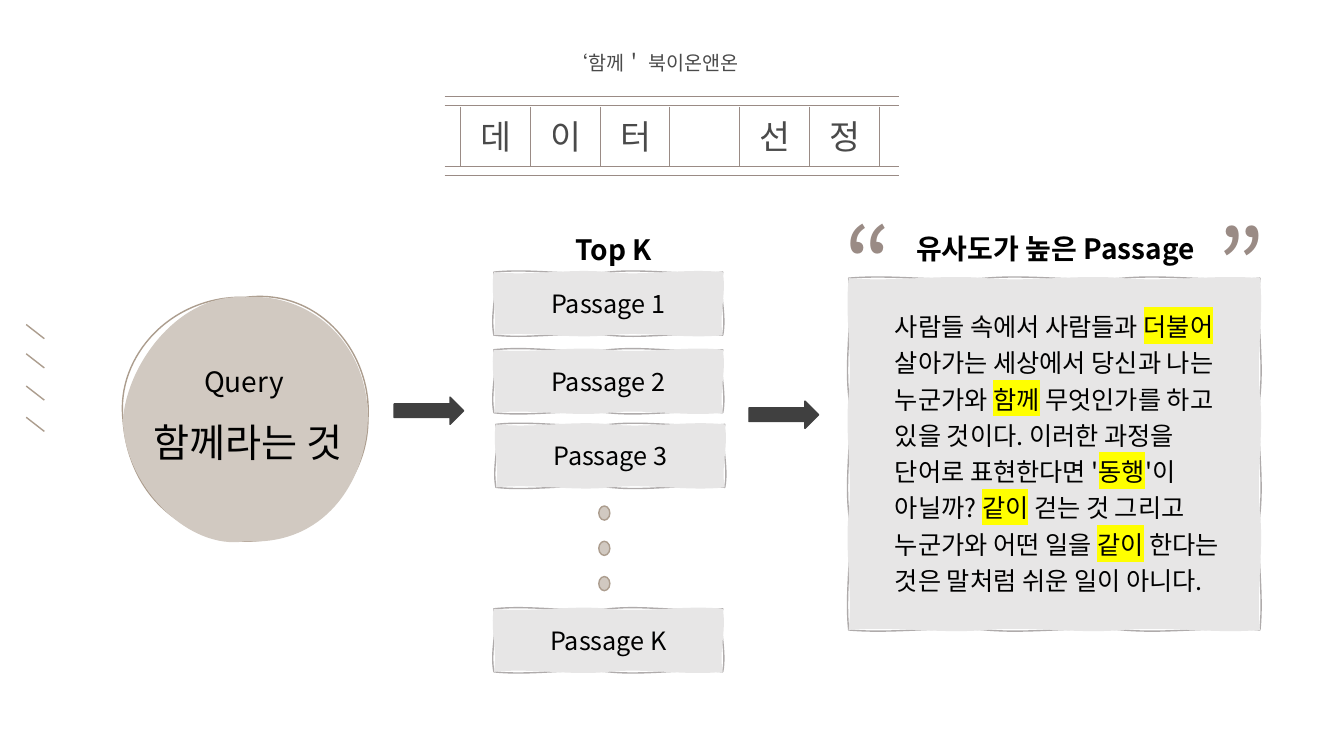
"""Build the slide that shows how passages are selected for a query."""
from lxml.etree import Element, SubElement
from pptx import Presentation
from pptx.dml.color import RGBColor
from pptx.enum.shapes import MSO_CONNECTOR, MSO_SHAPE
from pptx.enum.text import MSO_ANCHOR, MSO_AUTO_SIZE, PP_ALIGN
from pptx.oxml.ns import qn
from pptx.util import Inches, Pt

FONT = "Noto Sans CJK KR"
BLACK = RGBColor(0x00, 0x00, 0x00)
DARK = RGBColor(0x40, 0x40, 0x40)
PAPER = RGBColor(0xE7, 0xE6, 0xE6)
PAPER_EDGE = RGBColor(0xAF, 0xAB, 0xAB)
SAND = RGBColor(0xD1, 0xC9, 0xC1)
SAND_EDGE = RGBColor(0xAC, 0x9D, 0x8E)
TAUPE = RGBColor(0x9A, 0x8B, 0x85)
CELL = Inches(0.1)
COLS, ROWS = 133.33, 75

prs = Presentation()
prs.slide_width, prs.slide_height = int(COLS * CELL), int(ROWS * CELL)
s = prs.slides.add_slide(prs.slide_layouts[5])


def write(text, box=None, sp=None, size=18, color=BLACK, bold=False, alpha=None,
          align=PP_ALIGN.CENTER, spacing=1.0, anchor=MSO_ANCHOR.TOP):
    """Write text into a shape or a new box; parts between bars are highlighted."""
    if sp is None:
        sp = s.shapes.add_textbox(*(int(v * CELL) for v in box))
    tf = sp.text_frame
    tf.word_wrap, tf.auto_size = True, MSO_AUTO_SIZE.NONE
    tf.vertical_anchor = anchor
    p = tf.paragraphs[0]
    p.alignment, p.line_spacing = align, spacing
    for i, part in enumerate(text.split("|")):
        r = p.add_run()
        r.text = part
        r.font.size, r.font.bold = Pt(size), bold
        r.font.color.rgb = color
        rPr = r.font._element
        if alpha:
            SubElement(rPr.find(".//" + qn("a:srgbClr")), qn("a:alpha"), val=str(alpha * 1000))
        if i % 2:
            SubElement(SubElement(rPr, qn("a:highlight")), qn("a:srgbClr"), val="FFFF00")
        r.font.name = FONT
        SubElement(rPr, qn("a:ea"), typeface=FONT)


def sketch(outlines, left, top, width, height, fill, edge):
    """Draw an edge curve and a filled curve, with Bezier points in shares of the box."""
    for is_fill, outline in enumerate(outlines):
        pts = [((left + x * width) * CELL, (top + y * height) * CELL) for x, y in outline]
        builder = s.shapes.build_freeform(*pts[0])
        builder.add_line_segments(pts[1:], close=True)
        sp = builder.convert_to_shape()
        segments = list(sp._element.iter(qn("a:lnTo")))
        for k in range(0, len(segments), 3):
            curve = Element(qn("a:cubicBezTo"))
            segments[k].addprevious(curve)
            for segment in segments[k:k + 3]:
                curve.append(segment[0])
                segment.getparent().remove(segment)
        sp.shadow.inherit = False
        if is_fill:
            sp.fill.solid()
            sp.fill.fore_color.rgb = fill
            sp.line.fill.background()
        else:
            sp.fill.background()
            sp.line.color.rgb, sp.line.width = edge, Pt(1)
    return sp


title = s.shapes.title
title.left, title.top, title.width, title.height = (int(v * CELL) for v in (55.4, 4.5, 22.6, 3.4))
write("‘함께＇ 북이온앤온", sp=title, size=14, alpha=71, align=PP_ALIGN.JUSTIFY)

rail_left, rail_right, first_bar, pitch = 44.1, 89.2, 45.7, 6.92
lines = [(rail_left, y, rail_right, y, TAUPE, 0.75) for y in (9.6, 10.5, 16.5, 17.4)]
lines += [(first_bar + i * pitch, 10.6, first_bar + i * pitch, 16.5, TAUPE, 0.75) for i in range(7)]
lines += [(2.6, y, 4.4, y + 1.4, SAND_EDGE, 1) for y in (32.2, 35.1, 38.3, 41.4)]
for x1, y1, x2, y2, color, width in lines:
    ln = s.shapes.add_connector(MSO_CONNECTOR.STRAIGHT, *(int(v * CELL) for v in (x1, y1, x2, y2)))
    ln.line.color.rgb, ln.line.width = color, Pt(width)
    SubElement(ln._element.spPr, qn("a:effectLst"))

for i, letter in enumerate("데이터 선정"):
    if letter != " ":
        write(letter, (first_bar + 1 + i * pitch, 11, 5.4, 5), size=24, alpha=71, align=PP_ALIGN.LEFT)

round_outlines = [
    [(0, .5), (-.03, .24), (.2, -.01), (.5, 0), (.81, -.04), (1.02, .24), (1, .5),
     (1, .77), (.77, 1), (.5, 1), (.2, .98), (.02, .78), (0, .5)],
    [(0, .5), (.02, .26), (.24, -.02), (.5, 0), (.75, -.02), (1, .17), (1, .5),
     (.99, .76), (.82, 1.02), (.5, 1), (.26, 1.04), (0, .76), (0, .5)],
]
sketch(round_outlines, 12.2, 29.5, 24.3, 24.2, SAND, SAND_EDGE)

for left, top, width, height, across, down, label in [
        (84.2, 27.6, 40.8, 34.9, 3, 3, None),
        (49, 27, 22.7, 6.25, 2, 1, "Passage 1"),
        (49, 34.7, 22.7, 6.25, 2, 1, "Passage 2"),
        (49.2, 42.1, 22.7, 6.25, 2, 1, "Passage 3"),
        (49, 60.4, 22.7, 6.25, 2, 1, "Passage K")]:
    outlines = []
    for swing in (-0.4, 0.4):
        swings = (0, swing, -swing)
        level = [(i / (3 * across), swings[i % 3] / height) for i in range(3 * across)]
        upright = [(swings[i % 3] / width, i / (3 * down)) for i in range(3 * down)]
        outlines.append(level + [(1 + x, y) for x, y in upright]
                        + [(1 - x, 1 + y) for x, y in level]
                        + [(x, 1 - y) for x, y in upright] + [(0, 0)])
    sp = sketch(outlines, left, top, width, height, PAPER, PAPER_EDGE)
    if label:
        write(label, sp=sp, anchor=MSO_ANCHOR.MIDDLE)

presets = [(MSO_SHAPE.OVAL, 59.4, 50.2 + i * 3.5, 1.1, 1.4, SAND, SAND_EDGE) for i in range(3)]
presets += [(MSO_SHAPE.RIGHT_ARROW, left, top, 6.9, 2.7, DARK, DARK)
            for left, top in ((39.1, 39.4), (74.3, 39.8))]
for kind, left, top, width, height, fill, edge in presets:
    sp = s.shapes.add_shape(kind, *(int(v * CELL) for v in (left, top, width, height)))
    sp.shadow.inherit = False
    sp.fill.solid()
    sp.fill.fore_color.rgb = fill
    sp.line.color.rgb, sp.line.width = edge, Pt(1)

write("Query", (6.1, 34, 36.2, 5.5), size=20, spacing=1.5)
write("함께라는 것", (6.5, 38.7, 36.2, 7.3), size=28, spacing=1.5)
write("Top K", (42.8, 20.9, 36.2, 5.6), size=20, bold=True, spacing=1.5)
write("유사도가 높은 Passage", (86.6, 20.8, 36.2, 5.6), size=20, bold=True, spacing=1.5)
write("“", (78.6, 19.5, 15.1, 13.1), size=72, color=TAUPE)
write("”", (115.5, 19.7, 15.4, 13.1), size=72, color=TAUPE)
write("사람들 속에서 사람들과 |더불어| 살아가는 세상에서 당신과 나는 누군가와 |함께| 무엇인가를 "
      "하고 있을 것이다. 이러한 과정을 단어로 표현한다면 '|동행|'이 아닐까? |같이| 걷는 것 그리고 "
      "누군가와 어떤 일을 |같이| 한다는 것은 말처럼 쉬운 일이 아니다.",
      (87.8, 29.8, 34.3, 29.9), align=PP_ALIGN.LEFT, spacing=1.2)

prs.save("out.pptx")
